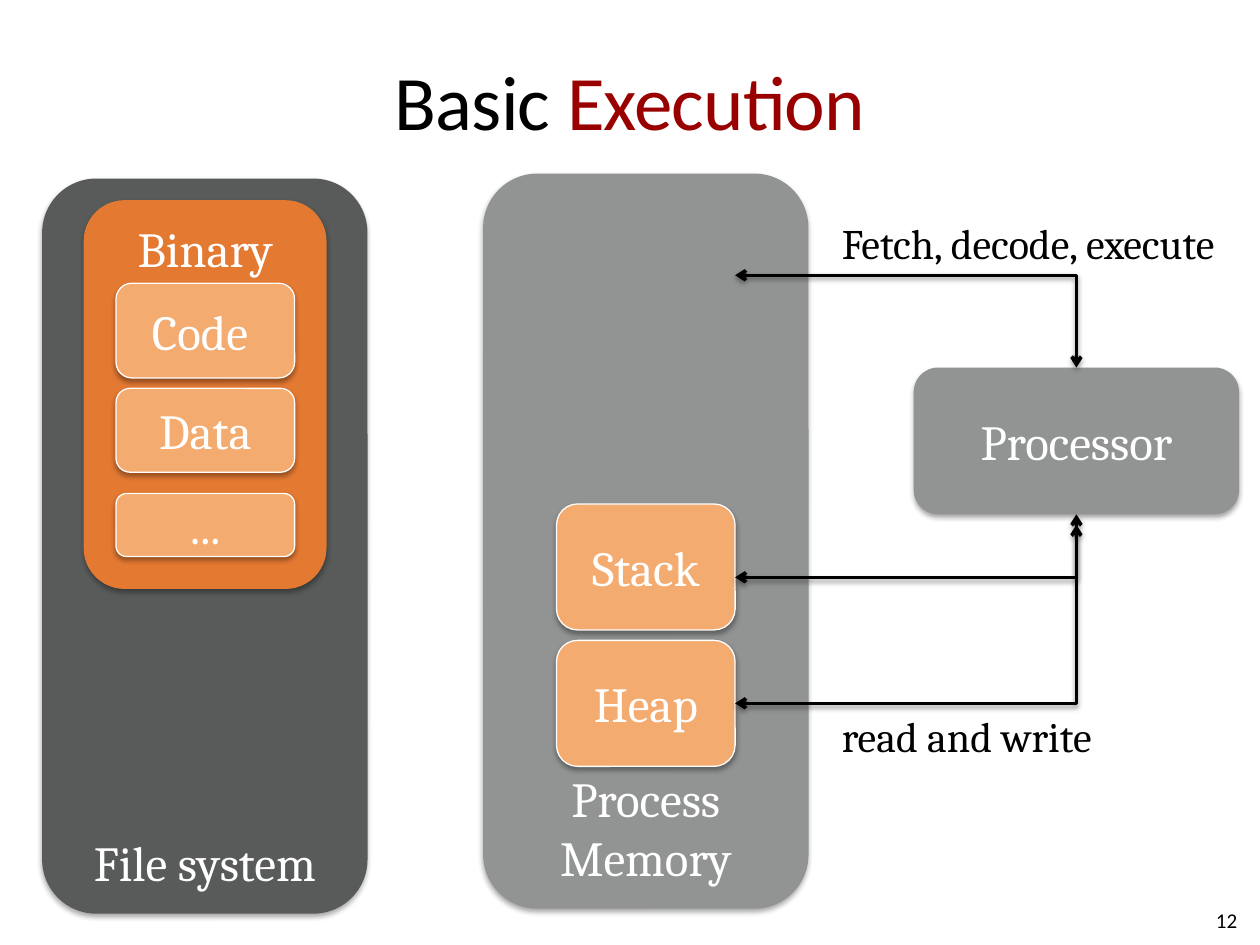
import lxml.etree
import pptx
import pptx.dml.color
import pptx.enum.shapes
import pptx.enum.text
import pptx.oxml
import pptx.oxml.ns
import pptx.util

Cm = pptx.util.Cm
Pt = pptx.util.Pt
ALIGN = pptx.enum.text.PP_ALIGN
ANCHOR = pptx.enum.text.MSO_ANCHOR

WHITE, BLACK, DARK_RED = "FFFFFF", "000000", "990000"
GRAY, DARK_GRAY = "929393", "595A5A"
ORANGE, LIGHT_ORANGE = "E47932", "F4AB70"
COLUMN_WIDTH, COLUMN_HEIGHT = 6.56, 14.82
SECTION_WIDTH = 3.6


def color(hex_string):
    return pptx.dml.color.RGBColor.from_string(hex_string)


def add_soft_shadow(shape, distance, opacity):
    effects = pptx.oxml.parse_xml(
        f'<a:effectLst {pptx.oxml.ns.nsdecls("a")}>'
        f'<a:outerShdw blurRad="{Pt(3.1)}" dist="{Pt(distance)}" dir="5400000" rotWithShape="0">'
        f'<a:srgbClr val="000000"><a:alpha val="{opacity * 1000}"/></a:srgbClr>'
        '</a:outerShdw></a:effectLst>')
    shape._element.spPr.append(effects)


def style_paragraph(paragraph, size, font, hex_string, alignment):
    paragraph.alignment = alignment
    paragraph.font.size = Pt(size)
    paragraph.font.name = font
    paragraph.font.color.rgb = color(hex_string)


def add_block(slide, box, text, fill, line=None, anchor=ANCHOR.MIDDLE):
    """Add a rounded, shadowed block; box is left, top, width, height in cm."""
    block = slide.shapes.add_shape(
        pptx.enum.shapes.MSO_SHAPE.ROUNDED_RECTANGLE, *map(Cm, box))
    block.fill.solid()
    block.fill.fore_color.rgb = color(fill)
    if line:
        block.line.color.rgb = color(line)
        block.line.width = Pt(0.75)
    else:
        block.line.fill.background()
    add_soft_shadow(block, 1.8, 35)
    frame = block.text_frame
    frame.word_wrap = True
    frame.vertical_anchor = anchor
    frame.text = text
    style_paragraph(frame.paragraphs[0], 28, "Cambria", WHITE, ALIGN.CENTER)


def add_text(slide, box, text, size, font, alignment=ALIGN.LEFT,
             anchor=ANCHOR.TOP, wrap=True):
    text_box = slide.shapes.add_textbox(*map(Cm, box))
    frame = text_box.text_frame
    frame.word_wrap = wrap
    frame.vertical_anchor = anchor
    frame.text = text
    style_paragraph(frame.paragraphs[0], size, font, BLACK, alignment)
    return frame


def add_elbow(slide, start, end):
    """Add a two-headed arrow that runs sideways from start, then vertically to end."""
    connector = slide.shapes.add_connector(
        pptx.enum.shapes.MSO_CONNECTOR.ELBOW, *map(Cm, start + end))
    connector.line.color.rgb = color(BLACK)
    connector.line.width = Pt(2)
    properties = connector._element.spPr
    properties.find(pptx.oxml.ns.qn("a:prstGeom")).set("prst", "bentConnector2")
    line = properties.find(pptx.oxml.ns.qn("a:ln"))
    for name in ("a:headEnd", "a:tailEnd"):
        lxml.etree.SubElement(line, pptx.oxml.ns.qn(name)).set("type", "arrow")
    add_soft_shadow(connector, 1.6, 38)


def add_title(slide, box):
    frame = add_text(slide, box, "Basic", 44, "Calibri", ALIGN.CENTER, ANCHOR.MIDDLE)
    frame.margin_left = frame.margin_right = 0
    paragraph = frame.paragraphs[0]
    highlight = paragraph.add_run()
    highlight.text = " Execution"
    highlight.font.color.rgb = color(DARK_RED)
    for run in paragraph.runs:
        run.font._element.set("spc", "-50")


def add_file_system(slide, left, top):
    add_block(slide, (left, top, COLUMN_WIDTH, COLUMN_HEIGHT), "File system",
              DARK_GRAY, anchor=ANCHOR.BOTTOM)
    add_binary(slide, left + 0.85, top + 0.45)


def add_binary(slide, left, top):
    add_block(slide, (left, top, 4.87, 7.81), "Binary", ORANGE, ORANGE, ANCHOR.TOP)
    sections = [("Code ", 1.91), ("Data", 1.69), ("...", 1.27)]
    for index, (name, height) in enumerate(sections):
        box = (left + 0.64, top + 1.66 + index * 2.12, SECTION_WIDTH, height)
        add_block(slide, box, name, LIGHT_ORANGE, WHITE)


def add_process_memory(slide, left, top):
    add_block(slide, (left, top, COLUMN_WIDTH, COLUMN_HEIGHT), "Process\vMemory",
              GRAY, anchor=ANCHOR.BOTTOM)
    for index, name in enumerate(("Stack", "Heap")):
        box = (left + 1.48, top + 6.66 + index * 2.75, SECTION_WIDTH, 2.54)
        add_block(slide, box, name, LIGHT_ORANGE, WHITE)


def add_processor(slide, left, top, memory_edge):
    """Add the processor and its arrows to the memory sections, ending at memory_edge."""
    height = 2.96
    add_block(slide, (left, top, COLUMN_WIDTH, height), "Processor", GRAY)
    middle, bottom = left + COLUMN_WIDTH / 2, top + height
    label_left = left - 1.7
    add_elbow(slide, (memory_edge, top - 1.86), (middle, top))
    add_text(slide, (label_left, top - 3.14, 8.66, 1.27), "Fetch, decode, execute",
             24, "Cambria", wrap=False)
    add_elbow(slide, (memory_edge, bottom + 1.27), (middle, bottom + 0.21))
    add_elbow(slide, (memory_edge, bottom + 3.81), (middle, bottom))
    add_text(slide, (label_left, bottom + 3.83, 5.87, 1.27), "read and write",
             24, "Cambria", wrap=False)


def main():
    presentation = pptx.Presentation()
    presentation.slide_width, presentation.slide_height = Cm(25.4), Cm(19.05)
    slide = presentation.slides.add_slide(presentation.slide_layouts[6])
    add_title(slide, (1.27, 0.43, 22.86, 3.18))
    add_file_system(slide, 0.85, 3.6)
    add_process_memory(slide, 9.74, 3.5)
    add_processor(slide, 18.42, 7.41, memory_edge=14.82)
    add_text(slide, (19.26, 18.03, 5.93, 1.02), "12", 12, "Calibri",
             ALIGN.RIGHT, ANCHOR.MIDDLE)
    presentation.save("out.pptx")


if __name__ == "__main__":
    main()
